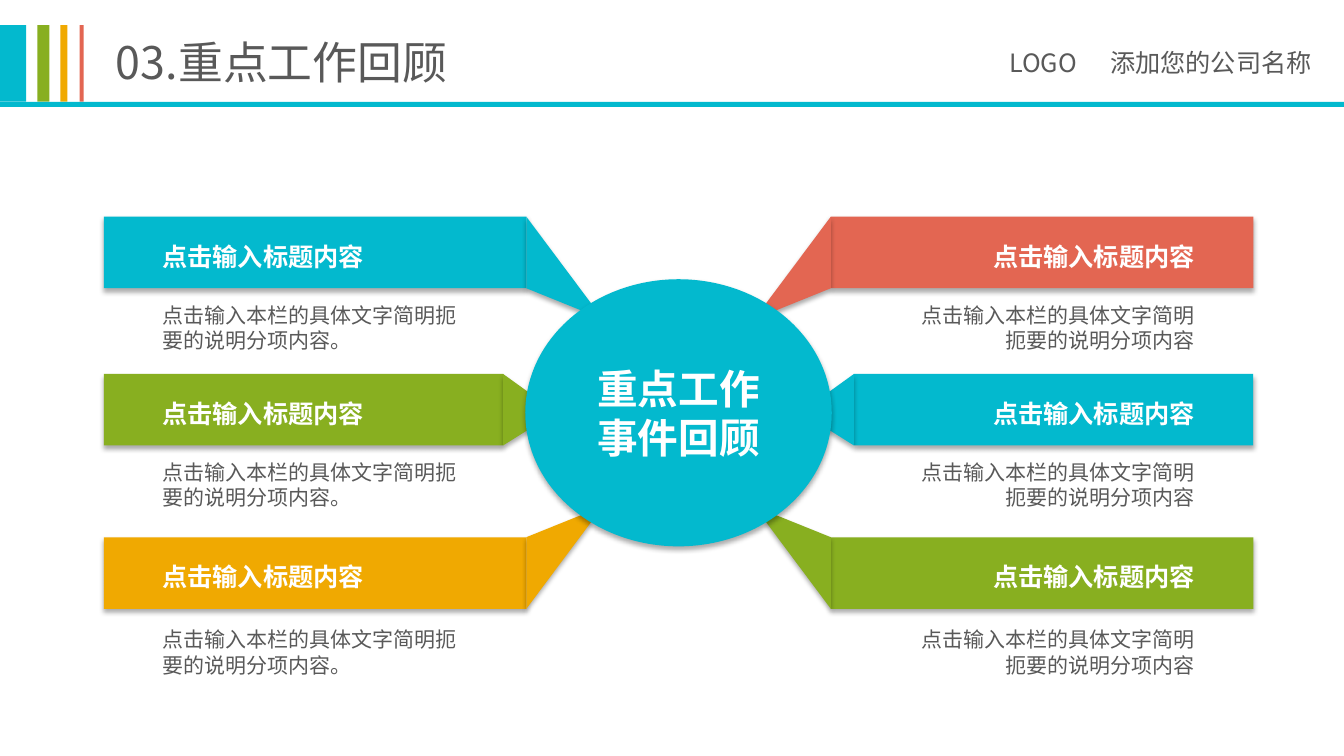
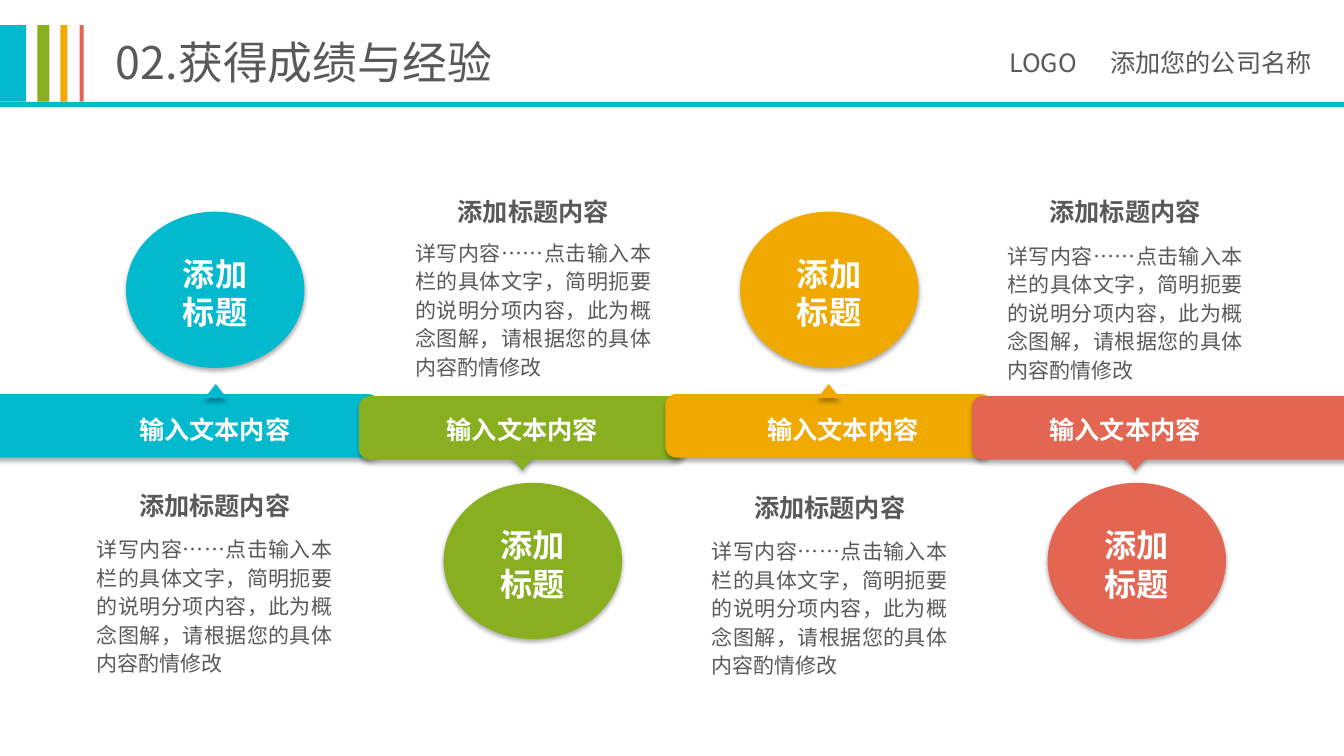
from dataclasses import dataclass

from lxml.etree import SubElement
from pptx import Presentation
from pptx.dml.color import RGBColor
from pptx.enum.shapes import MSO_SHAPE as Shape
from pptx.enum.text import MSO_ANCHOR as Anchor, MSO_AUTO_SIZE as AutoSize, PP_ALIGN as Align
from pptx.oxml.ns import qn
from pptx.util import Inches, Pt


@dataclass(frozen=True)
class Theme:
    font: str = "Noto Sans CJK SC"
    teal: str = "03B9CE"
    green: str = "88AF20"
    amber: str = "F0A901"
    coral: str = "E36652"
    text: str = "595959"
    white: str = "FFFFFF"
    title_size: int = 32
    hub_size: int = 29
    circle_size: int = 23
    heading_size: int = 18
    body_size: int = 15
    body_leading: float = 20.4


THEME = Theme()
SLIDE_WIDTH, SLIDE_HEIGHT = 13.33, 7.5


def set_values(target, values):
    for name, value in values.items():
        setattr(target, name, value)


class Deck:
    """Holds the presentation, its style and the current slide."""

    def __init__(self, theme):
        self.theme = theme
        self.slide = None
        self.presentation = Presentation()
        set_values(self.presentation, {"slide_width": Inches(SLIDE_WIDTH),
                                       "slide_height": Inches(SLIDE_HEIGHT)})

    def fill_text(self, frame, lines, size, color, bold=False, align=Align.LEFT,
                  anchor=Anchor.TOP, insets=(0, 0, 0, 0), leading=None):
        left, top, right, bottom = map(Inches, insets)
        set_values(frame, {"word_wrap": True, "auto_size": AutoSize.NONE,
                           "vertical_anchor": anchor,
                           "margin_left": left, "margin_top": top,
                           "margin_right": right, "margin_bottom": bottom})
        frame.text = "\n".join(lines)
        for paragraph in frame.paragraphs:
            paragraph.alignment = align
            if leading:
                paragraph.line_spacing = Pt(leading)
            for run in paragraph.runs:
                set_values(run.font, {"size": Pt(size), "bold": bold,
                                      "name": self.theme.font})
                run.font.color.rgb = RGBColor.from_string(color)
                east_asian = SubElement(run.font._element, qn("a:ea"))
                east_asian.set("typeface", self.theme.font)

    def paint(self, shape, color, shadow=True):
        shape.fill.solid()
        shape.fill.fore_color.rgb = RGBColor.from_string(color)
        shape.line.fill.background()
        shape.shadow.inherit = False
        if shadow:
            effects = shape._element.spPr.find(qn("a:effectLst"))
            outer = SubElement(effects, qn("a:outerShdw"), blurRad=str(Pt(3.5)),
                               dist=str(Pt(2.2)), dir="5400000",
                               algn="t", rotWithShape="0")
            black = SubElement(outer, qn("a:srgbClr"), val="000000")
            SubElement(black, qn("a:alpha"), val="32000")
        return shape

    def shape(self, kind, box, color, shadow=True):
        shape = self.slide.shapes.add_shape(kind, *map(Inches, box))
        return self.paint(shape, color, shadow)

    def polygon(self, points, color):
        start, *others = [(Inches(x), Inches(y)) for x, y in points]
        builder = self.slide.shapes.build_freeform(*start, scale=1.0)
        builder.add_line_segments(others, close=True)
        return self.paint(builder.convert_to_shape(), color)

    def text(self, box, words, size, color, **format_values):
        text_box = self.slide.shapes.add_textbox(*map(Inches, box))
        self.fill_text(text_box.text_frame, [words], size, color, **format_values)

    def add_slide(self, title):
        theme = self.theme
        self.slide = self.presentation.slides.add_slide(self.presentation.slide_layouts[5])
        placeholder = self.slide.shapes.title
        set_values(placeholder, {"left": Inches(1.05), "top": Inches(0.29),
                                 "width": Inches(5.12), "height": Inches(0.64)})
        self.fill_text(placeholder.text_frame, [title], theme.title_size, theme.text,
                       insets=(0.1, 0.05, 0.1, 0.05))
        # Header stripes and rule
        for left, width, color in ((0, 0.26, theme.teal), (0.37, 0.12, theme.green),
                                   (0.6, 0.07, theme.amber), (0.79, 0.04, theme.coral)):
            self.shape(Shape.RECTANGLE, (left, 0.25, width, 0.76), color, shadow=False)
        self.shape(Shape.RECTANGLE, (0, 1.01, SLIDE_WIDTH, 0.05), theme.teal, shadow=False)
        # Company name
        for left, width, words in ((10.01, 0.9, "LOGO"), (11.01, 2.2, "添加您的公司名称")):
            self.text((left, 0.47, width, 0.3), words, theme.heading_size, theme.text)


def add_review_slide(deck):
    theme = deck.theme
    deck.add_slide("03.重点工作回顾")
    center, outer, panel_height, indent = 6.73, 1.03, 0.71, 0.58
    # Each row: top, inner edge, wing tips, body centre, left and right colours
    rows = (
        (2.15, 5.22, ((5.87, 3.02), (5.79, 3.09)), 3.25, theme.teal, theme.coral),
        (3.71, 4.99, ((5.42, 4.02), (5.42, 4.15)), 4.81, theme.green, theme.teal),
        (5.33, 5.22, ((5.79, 5.1), (5.87, 5.17)), 6.47, theme.amber, theme.green),
    )
    body = "点击输入本栏的具体文字简明扼要的说明分项内容"
    for top, inner, tips, body_center, left_color, right_color in rows:
        wing = ((inner, top), *tips, (inner, top + panel_height))
        mirrored_wing = [(2 * center - x, y) for x, y in wing]
        width = inner - outer
        sides = (
            (outer, wing, left_color, Align.LEFT, outer + indent, 2.97, body + "。"),
            (2 * center - inner, mirrored_wing, right_color, Align.RIGHT,
             2 * center - outer - indent - 2.82, 2.82, body),
        )
        for left, points, color, align, body_left, body_width, words in sides:
            panel = deck.shape(Shape.RECTANGLE, (left, top, width, panel_height), color)
            deck.fill_text(panel.text_frame, ["点击输入标题内容"], theme.heading_size,
                           theme.white, bold=True, align=align, anchor=Anchor.MIDDLE,
                           insets=(indent, 0.07, indent, 0))
            deck.polygon(points, color)
            deck.text((body_left, body_center - 0.25, body_width, 0.5), words,
                      theme.body_size, theme.text, align=align, anchor=Anchor.MIDDLE)
    # Central hub
    hub = deck.shape(Shape.OVAL, (5.21, 2.77, 3.04, 2.65), theme.teal)
    deck.fill_text(hub.text_frame, ["重点工作", "事件回顾"], theme.hub_size, theme.white,
                   bold=True, align=Align.CENTER, anchor=Anchor.MIDDLE)


def add_results_slide(deck):
    theme = deck.theme
    deck.add_slide("02.获得成绩与经验")
    step, bleed, last = 3.04, 0.12, 3
    # Each stage: colour, circle left, label left, heading left and top, body top
    stages = (
        (theme.teal, 1.25, 1.13, 1.13, 4.86, 5.29),
        (theme.green, 4.4, 4.18, 4.29, 1.95, 2.35),
        (theme.amber, 7.34, 7.36, 7.23, 4.88, 5.31),
        (theme.coral, 10.39, 10.16, 10.16, 1.95, 2.38),
    )
    body = ("详写内容……点击输入本栏的具体文字，简明扼要的说明分项内容，"
            "此为概念图解，请根据您的具体内容酌情修改")
    for index, stage in enumerate(stages):
        color, circle_left, label_left, heading_left, heading_top, body_top = stage
        if index % 2 == 0:
            ribbon_top, pointer, pointer_top, circle_top = 3.91, Shape.ISOSCELES_TRIANGLE, 3.81, 2.1
        else:
            ribbon_top, pointer, pointer_top, circle_top = 3.93, Shape.FLOWCHART_MERGE, 4.53, 4.79
        # Ribbon, running past the slide edge at both ends
        start = 0.52 + step * index
        left = -bleed if index == 0 else start
        right = SLIDE_WIDTH + bleed if index == last else start + 3.24
        ribbon = deck.shape(Shape.ROUNDED_RECTANGLE,
                            (left, ribbon_top, right - left, 0.63), color)
        ribbon.adjustments[0] = 0.17
        deck.shape(pointer, (2.03 + step * index, pointer_top, 0.22, 0.14), color)
        deck.text((label_left, 4.11, 2, 0.3), "输入文本内容", theme.heading_size,
                  theme.white, bold=True, align=Align.CENTER)
        # Circle
        circle = deck.shape(Shape.OVAL, (circle_left, circle_top, 1.77, 1.55), color)
        deck.fill_text(circle.text_frame, ["添加标题"], theme.circle_size, theme.white,
                       bold=True, align=Align.CENTER, anchor=Anchor.MIDDLE,
                       insets=(0.2, 0.06, 0.2, 0))
        # Description
        deck.text((heading_left, heading_top, 2, 0.3), "添加标题内容", theme.heading_size,
                  theme.text, bold=True, align=Align.CENTER)
        deck.text((heading_left - 0.17, body_top, 2.34, 1.4), body, theme.body_size,
                  theme.text, align=Align.JUSTIFY, leading=theme.body_leading)


def main():
    deck = Deck(THEME)
    add_review_slide(deck)
    add_results_slide(deck)
    deck.presentation.save("out.pptx")


if __name__ == "__main__":
    main()
